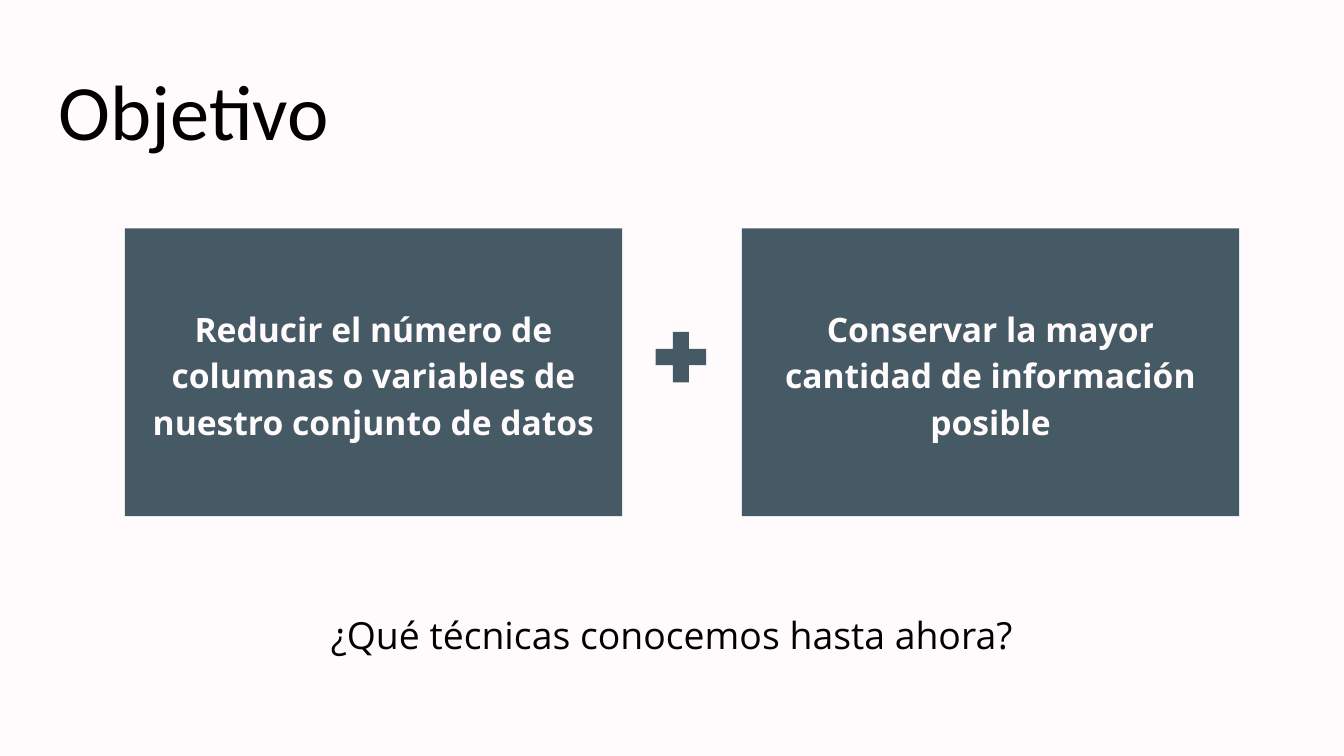
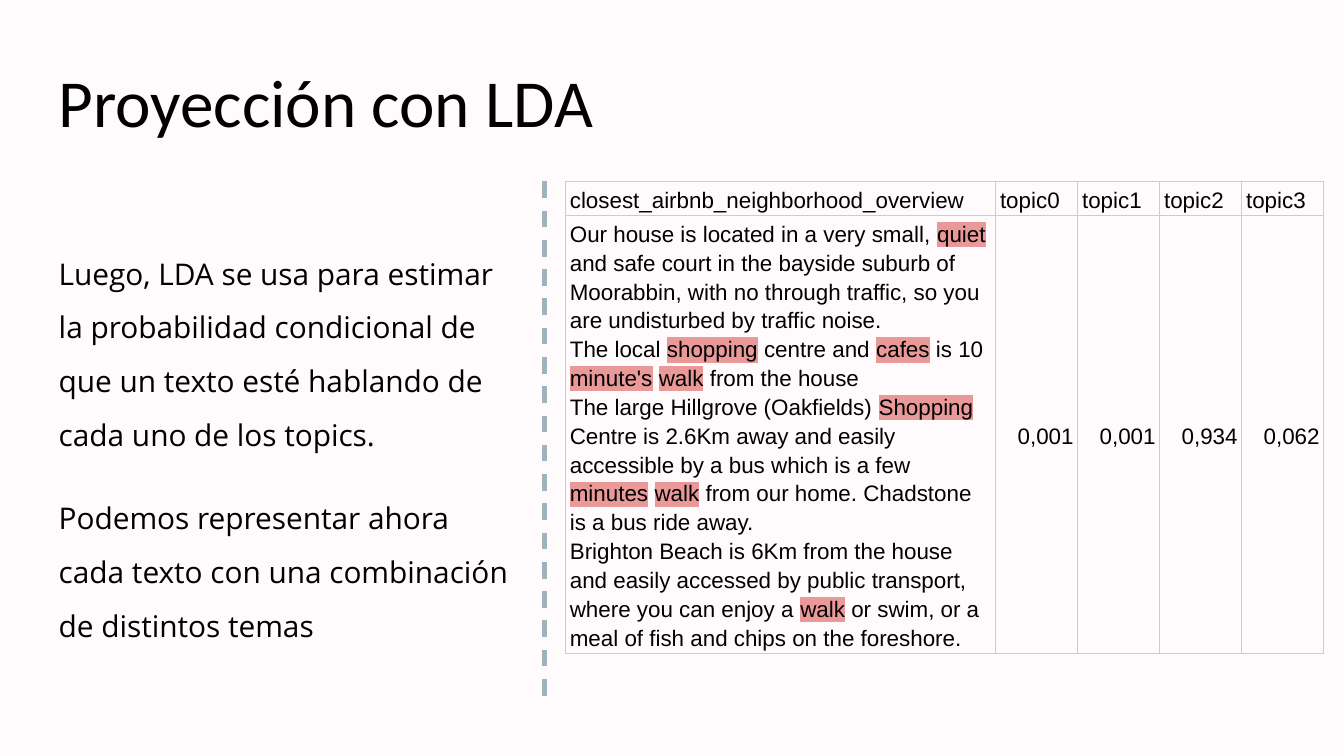
"""Builds two slides on dimensionality reduction: its goal and projection with LDA."""
import pptx
import pptx.dml.color
import pptx.enum.dml
import pptx.enum.shapes
import pptx.enum.text
import pptx.oxml
import pptx.oxml.ns
import pptx.util

Cm = pptx.util.Cm
Pt = pptx.util.Pt
RGBColor = pptx.dml.color.RGBColor
ANCHOR = pptx.enum.text.MSO_ANCHOR
ALIGN = pptx.enum.text.PP_ALIGN
SHAPE = pptx.enum.shapes.MSO_SHAPE
qn = pptx.oxml.ns.qn
NAMESPACE = pptx.oxml.ns.nsdecls("a")

PAPER = RGBColor(0xFF, 0xFB, 0xFC)
INK = RGBColor(0x00, 0x00, 0x00)
SLATE = RGBColor(0x45, 0x5A, 0x64)
MIST = RGBColor(0x9F, 0xB3, 0xBC)
GRID = RGBColor(0xCC, 0xCC, 0xCC)
MARKER = RGBColor(0xEA, 0x99, 0x99)


def format_text(frame, font, size, color=INK, bold=False, align=ALIGN.LEFT,
                spacing=1.15, anchor=ANCHOR.TOP, inset=Cm(0.25)):
    frame.word_wrap = True
    frame.vertical_anchor = anchor
    frame.margin_left = frame.margin_right = inset
    frame.margin_top = frame.margin_bottom = inset
    for para in frame.paragraphs:
        para.alignment = align
        para.line_spacing = spacing
        para.space_before = para.space_after = Pt(0)
        for span in para.runs:
            span.font.name = font
            span.font.size = Pt(size)
            span.font.bold = bold
            span.font.color.rgb = color


def add_titled_page(layout, title, size, anchor):
    page = deck.slides.add_slide(layout)
    box = page.shapes.title
    box.left, box.top, box.width, box.height = Cm(0.86), Cm(0.89), Cm(23.67), Cm(2.31)
    box.text_frame.text = title
    box.text_frame.auto_size = pptx.enum.text.MSO_AUTO_SIZE.NONE
    format_text(box.text_frame, "Calibri", size, spacing=1.0, anchor=anchor)
    return page


deck = pptx.Presentation()
deck.slide_width, deck.slide_height = Cm(25.4), Cm(14.29)
background = deck.slide_master.background.fill
background.solid()
background.fore_color.rgb = PAPER

page = add_titled_page(deck.slide_layouts[5], "Objetivo", 42, ANCHOR.BOTTOM)
goals = [
    (SHAPE.RECTANGLE, 2.36, 4.32, 9.4, 5.44,
     "Reducir el número de columnas o variables de nuestro conjunto de datos"),
    (SHAPE.RECTANGLE, 14.02, 4.32, 9.4, 5.44,
     "Conservar la mayor cantidad de información posible"),
    (SHAPE.MATH_PLUS, 12.22, 6.1, 1.3, 1.3, ""),
]
for kind, left, top, width, height, text in goals:
    box = page.shapes.add_shape(kind, Cm(left), Cm(top), Cm(width), Cm(height))
    box.shadow.inherit = False
    box.fill.solid()
    box.fill.fore_color.rgb = SLATE
    box.line.fill.background()
    if text:
        box.text_frame.text = text
        format_text(box.text_frame, "Open Sans", 18, PAPER, True, ALIGN.CENTER,
                    anchor=ANCHOR.MIDDLE)

question = page.shapes.add_textbox(Cm(3.38), Cm(11.2), Cm(18.64), Cm(1.37))
question.text_frame.text = "¿Qué técnicas conocemos hasta ahora?"
question.text_frame.auto_size = pptx.enum.text.MSO_AUTO_SIZE.SHAPE_TO_FIT_TEXT
format_text(question.text_frame, "Open Sans", 20, align=ALIGN.CENTER)
question.text_frame.paragraphs[0].space_after = Pt(10)

page = add_titled_page(deck.slide_layouts[1], "Proyección con LDA", 36, ANCHOR.TOP)
divider = page.shapes.add_connector(
    pptx.enum.shapes.MSO_CONNECTOR.STRAIGHT, Cm(10.29), Cm(3.43), Cm(10.29), Cm(13.28))
divider.line.color.rgb = MIST
divider.line.width = Pt(2.25)
divider.line.dash_style = pptx.enum.dml.MSO_LINE.DASH
divider._element.spPr.append(pptx.oxml.parse_xml(f"<a:effectLst {NAMESPACE}/>"))

body = page.placeholders[1]
body.left, body.top, body.width, body.height = Cm(0.86), Cm(3.73), Cm(9.02), Cm(9.19)
body.text_frame.text = (
    "Luego, LDA se usa para estimar la probabilidad condicional de que un texto "
    "esté hablando de cada uno de los topics.\n"
    "Podemos representar ahora cada texto con una combinación de distintos temas")
body.text_frame.auto_size = pptx.enum.text.MSO_AUTO_SIZE.NONE
for para in body.text_frame.paragraphs:
    properties = para._p.get_or_add_pPr()
    properties.set("marL", "0")
    properties.set("indent", "0")
    properties.append(pptx.oxml.parse_xml(f"<a:buNone {NAMESPACE}/>"))
format_text(body.text_frame, "Open Sans", 16, spacing=1.5, anchor=ANCHOR.MIDDLE)
last = body.text_frame.paragraphs[-1]
last.space_before = last.space_after = Pt(16)

overview = (
    "Our house is located in a very small, *quiet* and safe court in the bayside suburb "
    "of Moorabbin, with no through traffic, so you are undisturbed by traffic noise.\n"
    "The local *shopping* centre and *cafes* is 10 *minute's* *walk* from the house\n"
    "The large Hillgrove (Oakfields) *Shopping* Centre is 2.6Km away and easily accessible "
    "by a bus which is a few *minutes* *walk* from our home. Chadstone is a bus ride away.\n"
    "Brighton Beach is 6Km from the house and easily accessed by public transport, where "
    "you can enjoy a *walk* or swim, or a meal of fish and chips on the foreshore.")
rows = [
    ["closest_airbnb_neighborhood_overview", "topic0", "topic1", "topic2", "topic3"],
    [overview, "0,001", "0,001", "0,934", "0,062"],
]
widths = [8.13] + [1.55] * 4
heights = [0.58, 6.81]
table = page.shapes.add_table(
    len(rows), len(widths), Cm(10.69), Cm(3.43), Cm(sum(widths)), Cm(sum(heights))).table
table.first_row = table.horz_banding = False
for column, width in zip(table.columns, widths):
    column.width = Cm(width)
for row, height in zip(table.rows, heights):
    row.height = Cm(height)

for row_index, values in enumerate(rows):
    for column_index, value in enumerate(values):
        cell = table.cell(row_index, column_index)
        frame = cell.text_frame
        marked = []
        for line_index, line in enumerate(value.split("\n")):
            para = frame.add_paragraph() if line_index else frame.paragraphs[0]
            for piece_index, piece in enumerate(line.split("*")):
                span = para.add_run()
                span.text = piece
                if piece_index % 2:
                    marked.append(span)
        is_number = row_index and column_index
        format_text(frame, "Arial", 12, align=ALIGN.RIGHT if is_number else ALIGN.LEFT)
        for span in marked:
            span._r.rPr.find(qn("a:solidFill")).addnext(pptx.oxml.parse_xml(
                f'<a:highlight {NAMESPACE}><a:srgbClr val="{MARKER}"/></a:highlight>'))
        cell.vertical_anchor = ANCHOR.MIDDLE
        cell.margin_left = cell.margin_right = Cm(0.08)
        cell.margin_top = cell.margin_bottom = Cm(0.05)
        properties = cell._tc.get_or_add_tcPr()
        for side in ("lnL", "lnR", "lnT", "lnB"):
            properties.append(pptx.oxml.parse_xml(
                f'<a:{side} {NAMESPACE} w="{Pt(0.75)}"><a:solidFill>'
                f'<a:srgbClr val="{GRID}"/></a:solidFill></a:{side}>'))
        cell.fill.background()

deck.save("out.pptx")
